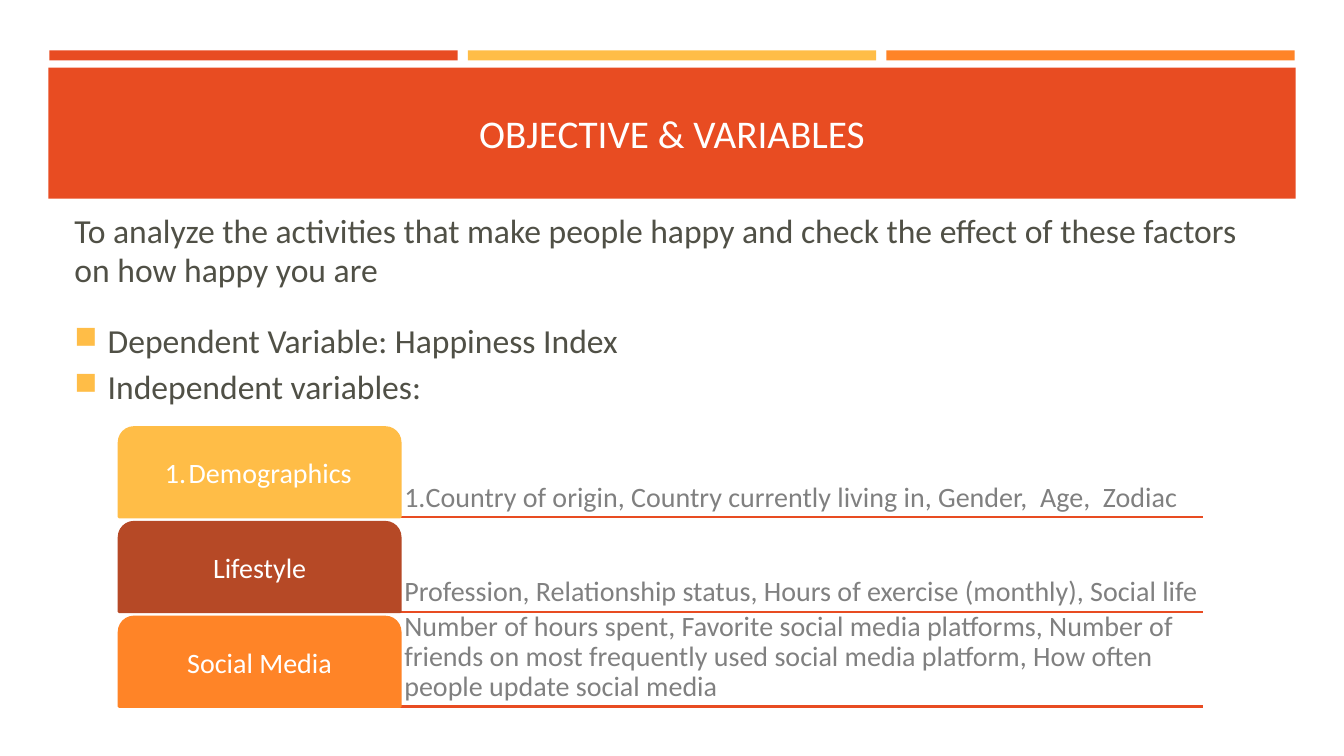
from dataclasses import dataclass
from typing import Optional

from lxml import etree
from pptx import Presentation
from pptx import util as u
from pptx.dml.color import RGBColor
from pptx.enum import shapes, text
from pptx.oxml import ns

PX = 9144  # EMU per px, 100 px to the inch
FONT = "Calibri"
COLORS = {
    "red": "E84C22",
    "yellow": "FFBD47",
    "orange": "FF8427",
    "brown": "B64926",
    "white": "FFFFFF",
    "gray": "808080",
    "body": "505046",
}


@dataclass(frozen=True)
class Rect:
    left: int
    top: int
    width: int
    height: int

    def emu(self) -> list[int]:
        return [v * PX for v in (self.left, self.top, self.width, self.height)]


@dataclass(frozen=True)
class VariableRow:
    label: str
    details: str
    color: str
    numbered: bool = False


@dataclass(frozen=True)
class BodyLine:
    wording: str
    space_after: int
    bulleted: bool = True


ACCENTS = ["red", "yellow", "orange"]
ACCENT_LEFT, ACCENT_STEP = 49, 415
ROW_LEFT, ROW_TOP, ROW_STEP, ROW_HEIGHT = 118, 424, 94, 89
TAB_WIDTH, DETAILS_WIDTH = 279, 796

BODY = [
    BodyLine("To analyze the activities that make people happy and check the effect "
             "of these factors on how happy you are", 22, bulleted=False),
    BodyLine("Dependent Variable: Happiness Index", 5),
    BodyLine("Independent variables:", 5),
]
ROWS = [
    VariableRow("Demographics",
                "Country of origin, Country currently living in, Gender,  Age,  Zodiac",
                "yellow", numbered=True),
    VariableRow("Lifestyle",
                "Profession, Relationship status, Hours of exercise (monthly), Social life",
                "brown"),
    VariableRow("Social Media",
                "Number of hours spent, Favorite social media platforms, Number of friends "
                "on most frequently used social media platform, How often people update "
                "social media", "orange"),
]


def rgb(name: str) -> RGBColor:
    return RGBColor.from_string(COLORS[name])


def add_block(page, kind, rect: Rect, color: str, line_width: Optional[float] = None):
    """Add a filled preset shape, outlined in its own colour if a width is given."""
    block = page.shapes.add_shape(kind, *rect.emu())
    block.shadow.inherit = False
    block.fill.solid()
    block.fill.fore_color.rgb = rgb(color)
    if line_width is None:
        block.line.fill.background()
    else:
        block.line.color.rgb = rgb(color)
        block.line.width = u.Pt(line_width)
    return block


def set_frame(box, margin: int, anchor):
    frame = box.text_frame
    frame.word_wrap = True
    frame.vertical_anchor = anchor
    frame.margin_left = frame.margin_right = margin * PX
    frame.margin_top = frame.margin_bottom = margin * PX
    return frame


def add_span(para, wording: str, size: int, color: str) -> None:
    span = para.add_run()
    span.text = wording
    span.font.name = FONT
    span.font.size = u.Pt(size)
    span.font.color.rgb = rgb(color)


def add_number(para) -> None:
    props = para._p.get_or_add_pPr()
    etree.SubElement(props, ns.qn("a:buFont"), typeface="+mj-lt")
    etree.SubElement(props, ns.qn("a:buAutoNum"), type="arabicPeriod")


def add_square_bullet(para) -> None:
    props = para._p.get_or_add_pPr()
    props.set("marL", str(33 * PX))
    props.set("indent", str(-33 * PX))
    tint = etree.SubElement(props, ns.qn("a:buClr"))
    etree.SubElement(tint, ns.qn("a:srgbClr"), val=COLORS["yellow"])
    etree.SubElement(props, ns.qn("a:buSzPct"), val="92000")
    etree.SubElement(props, ns.qn("a:buChar"), char="■")


def add_row_text(box, wording: str, color: str, anchor, align, numbered: bool) -> None:
    para = set_frame(box, 4, anchor).paragraphs[0]
    para.alignment = align
    para.line_spacing = 0.9
    if numbered:
        add_number(para)
    add_span(para, wording, 20, color)


def add_rule(page, left: int, top: int, width: int) -> None:
    rule = page.shapes.add_connector(
        shapes.MSO_CONNECTOR.STRAIGHT,
        left * PX, top * PX, (left + width) * PX, top * PX)
    rule.line.color.rgb = rgb("red")
    rule.line.width = u.Pt(1.75)
    etree.SubElement(rule._element.spPr, ns.qn("a:effectLst"))


def add_header(page) -> None:
    kind = shapes.MSO_SHAPE.RECTANGLE
    for i, color in enumerate(ACCENTS):
        add_block(page, kind, Rect(ACCENT_LEFT + i * ACCENT_STEP, 50, 405, 10), color)
    banner = add_block(page, kind, Rect(48, 67, 1237, 130), "red")
    para = set_frame(banner, 10, text.MSO_ANCHOR.MIDDLE).paragraphs[0]
    para.alignment = text.PP_ALIGN.CENTER
    add_span(para, "OBJECTIVE & VARIABLES", 28, "white")


def add_body(page) -> None:
    box = page.shapes.add_textbox(*Rect(64, 200, 1206, 188).emu())
    frame = set_frame(box, 10, text.MSO_ANCHOR.TOP)
    for i, line in enumerate(BODY):
        para = frame.add_paragraph() if i else frame.paragraphs[0]
        para.space_after = u.Pt(line.space_after)
        para.line_spacing = 0.98
        if line.bulleted:
            add_square_bullet(para)
        add_span(para, line.wording, 24, "body")


def add_variable_row(page, row: VariableRow, top: int) -> None:
    """Add a coloured tab, its details and the rule beneath them."""
    add_rule(page, ROW_LEFT, top + ROW_HEIGHT, TAB_WIDTH + DETAILS_WIDTH)
    details = page.shapes.add_textbox(
        *Rect(ROW_LEFT + TAB_WIDTH, top, DETAILS_WIDTH, ROW_HEIGHT).emu())
    add_row_text(details, row.details, "gray", text.MSO_ANCHOR.BOTTOM,
                 text.PP_ALIGN.LEFT, row.numbered)
    tab = add_block(page, shapes.MSO_SHAPE.ROUND_2_SAME_RECTANGLE,
                    Rect(ROW_LEFT, top, TAB_WIDTH, ROW_HEIGHT), row.color, 1.75)
    add_row_text(tab, row.label, "white", text.MSO_ANCHOR.MIDDLE,
                 text.PP_ALIGN.CENTER, row.numbered)


def main() -> None:
    deck = Presentation()
    deck.slide_width, deck.slide_height = 1333 * PX, 750 * PX
    page = deck.slides.add_slide(deck.slide_layouts[6])
    add_header(page)
    add_body(page)
    for i, row in enumerate(ROWS):
        add_variable_row(page, row, ROW_TOP + i * ROW_STEP)
    deck.save("out.pptx")


if __name__ == "__main__":
    main()
